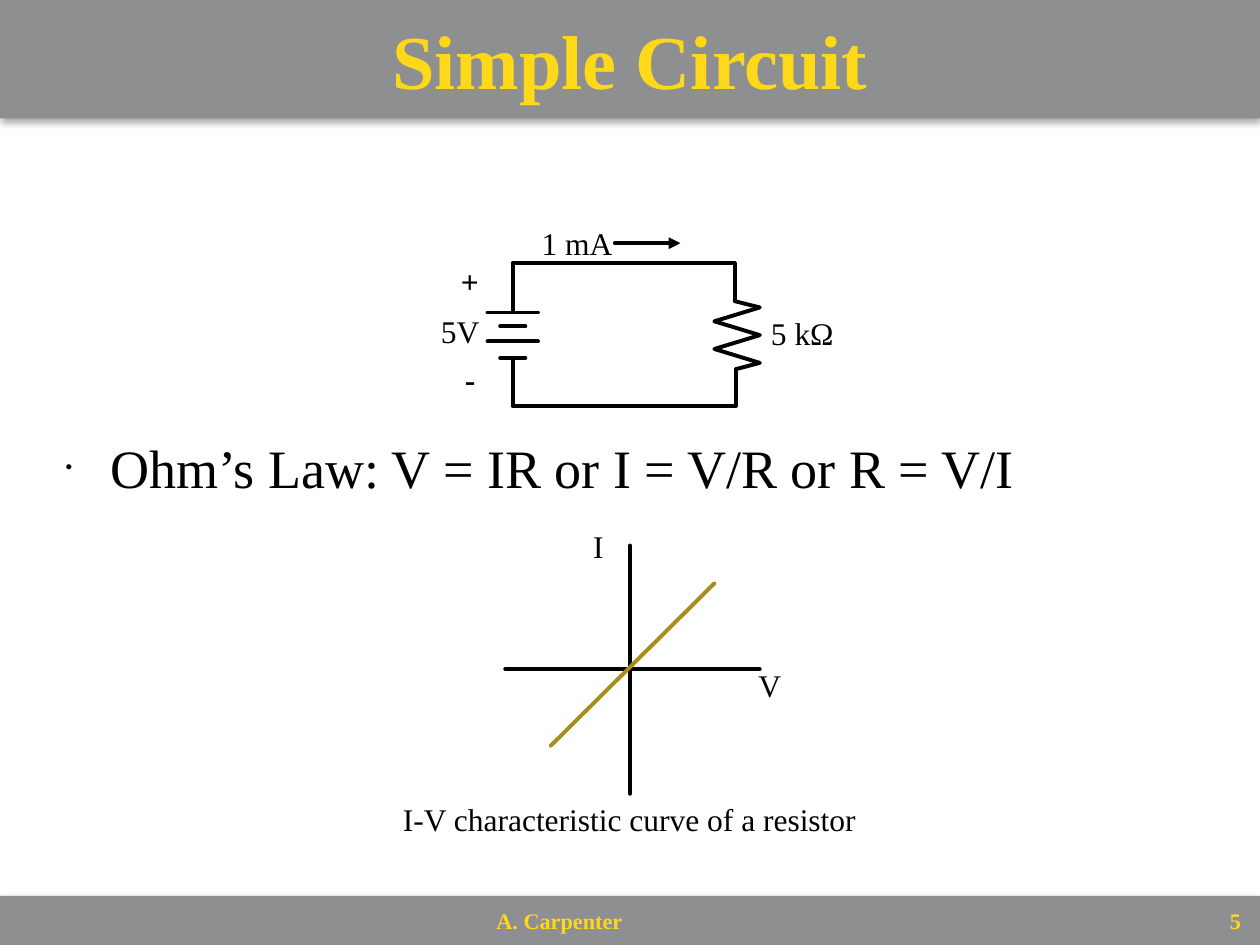
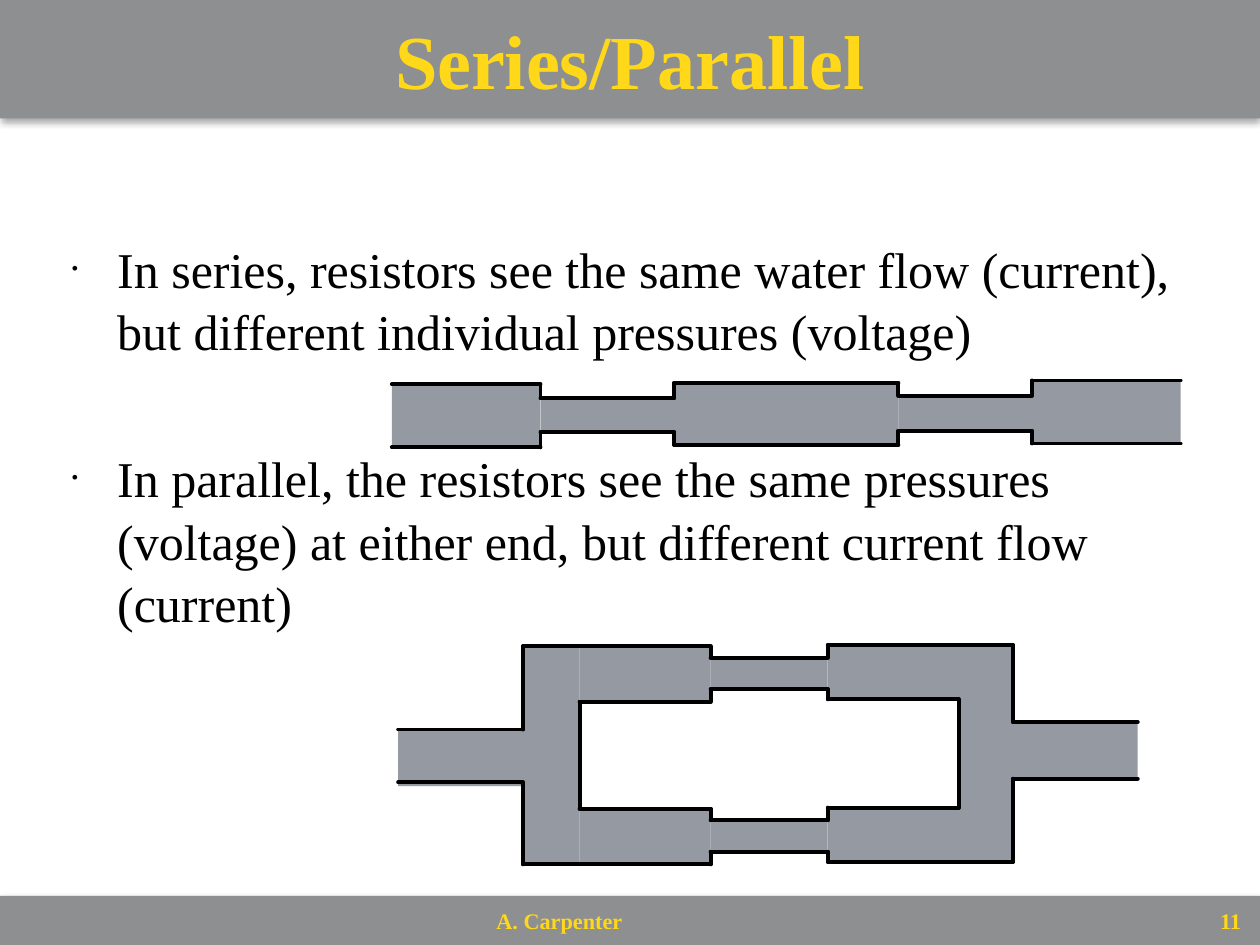
from dataclasses import dataclass
from itertools import pairwise

from lxml.etree import SubElement
from pptx import Presentation
from pptx.dml.color import RGBColor
from pptx.enum.shapes import MSO_CONNECTOR, MSO_SHAPE
from pptx.enum.text import MSO_ANCHOR, MSO_AUTO_SIZE, PP_ALIGN
from pptx.oxml.ns import qn
from pptx.util import Inches, Pt


@dataclass(frozen=True)
class Theme:
    font: str = "Times New Roman"
    band: str = "8E8F90"
    gold: str = "FFD819"
    ink: str = "000000"
    curve: str = "A58E1A"
    water: str = "959AA2"
    title_size: float = 43.6
    label_size: float = 18
    footer_size: float = 12.7
    line_width: float = 2.25
    inset: float = 0.07


THEME = Theme()


def place(shape, left, top, width, height):
    shape.left, shape.top = Inches(left), Inches(top)
    shape.width, shape.height = Inches(width), Inches(height)


def style_text(text_frame, size, color, bold=False):
    for paragraph in text_frame.paragraphs:
        for run in paragraph.runs:
            run.font.name = THEME.font
            run.font.size = Pt(size)
            run.font.bold = bold
            run.font.color.rgb = RGBColor.from_string(color)


def set_insets(text_frame, inset):
    text_frame.margin_left = text_frame.margin_right = Inches(inset)
    text_frame.margin_top = text_frame.margin_bottom = Inches(inset)


def fill_shape(shape, color):
    shape.fill.solid()
    shape.fill.fore_color.rgb = RGBColor.from_string(color)
    shape.line.fill.background()
    shape.shadow.inherit = False


def make_band(shape):
    """Grey fill with a soft shadow below."""
    fill_shape(shape, THEME.band)
    effects = shape.element.spPr.find(qn("a:effectLst"))
    shadow = SubElement(effects, qn("a:outerShdw"), blurRad=str(Pt(4)),
                        dist=str(Pt(2)), dir="5400000", rotWithShape="0")
    color = SubElement(shadow, qn("a:srgbClr"), val=THEME.ink)
    SubElement(color, qn("a:alpha"), val="35000")


class Panel:
    """A drawing area whose parts are placed from its left top corner."""

    def __init__(self, slide, left, top):
        self.shapes, self.left, self.top = slide.shapes, left, top

    def block(self, left, top, right, bottom, color=THEME.water):
        shape = self.shapes.add_shape(
            MSO_SHAPE.RECTANGLE, Inches(self.left + left), Inches(self.top + top),
            Inches(right - left), Inches(bottom - top))
        fill_shape(shape, color)
        return shape

    def wire(self, *points, color=THEME.ink, arrow=False):
        """Straight lines from point to point."""
        for (x1, y1), (x2, y2) in pairwise(points):
            connector = self.shapes.add_connector(
                MSO_CONNECTOR.STRAIGHT,
                Inches(self.left + x1), Inches(self.top + y1),
                Inches(self.left + x2), Inches(self.top + y2))
            connector.line.color.rgb = RGBColor.from_string(color)
            connector.line.width = Pt(THEME.line_width)
            properties = connector.element.spPr
            line = properties.find(qn("a:ln"))
            line.set("cap", "rnd")
            if arrow:
                SubElement(line, qn("a:tailEnd"), type="triangle")
            SubElement(properties, qn("a:effectLst"))

    def label(self, text, left, top, width, height=0.4, size=THEME.label_size,
              color=THEME.ink, bold=False):
        box = self.shapes.add_textbox(Inches(self.left + left), Inches(self.top + top),
                                      Inches(width), Inches(height))
        box.text_frame.text = text
        box.text_frame.word_wrap = False
        style_text(box.text_frame, size, color, bold)
        return box.text_frame

    def pipe_wall(self, edges, levels):
        """A stepped wall that runs at one level between each pair of edges."""
        self.wire(*[(x, level) for span, level in zip(pairwise(edges), levels)
                    for x in span])

    def water(self, edges, tops, bottoms):
        for (left, right), top, bottom in zip(pairwise(edges), tops, bottoms):
            self.block(left, top, right, bottom)


def add_title(slide, text):
    title = slide.shapes.title
    place(title, 0, 0, 10, 0.94)
    make_band(title)
    frame = title.text_frame
    frame.text = text
    frame.auto_size = MSO_AUTO_SIZE.NONE
    frame.vertical_anchor = MSO_ANCHOR.MIDDLE
    set_insets(frame, THEME.inset)
    frame.paragraphs[0].alignment = PP_ALIGN.CENTER
    style_text(frame, THEME.title_size, THEME.gold, bold=True)


def add_footer(slide, number):
    footer = Panel(slide, 0, 7.11)
    make_band(footer.block(0, 0, 10, 0.39))
    style = dict(size=THEME.footer_size, color=THEME.gold, bold=True)
    author = footer.label("A. Carpenter", 3.89, 0.04, 2.23, 0.31, **style)
    author.word_wrap = True
    set_insets(author, 0.05)
    page = footer.label(str(number), 9.57, 0.02, 0.35, 0.36, **style)
    set_insets(page, THEME.inset)
    page.paragraphs[0].alignment = PP_ALIGN.RIGHT
    for frame in (author, page):
        frame.vertical_anchor = MSO_ANCHOR.MIDDLE


def add_bullets(slide, box, texts, size, gap=7):
    body = slide.placeholders[1]
    place(body, *box)
    frame = body.text_frame
    frame.text = "\n".join(texts)
    frame.auto_size = MSO_AUTO_SIZE.NONE
    frame.vertical_anchor = MSO_ANCHOR.TOP
    set_insets(frame, THEME.inset)
    for index, paragraph in enumerate(frame.paragraphs):
        paragraph.space_before = Pt(gap if index else 7)
        paragraph.line_spacing = 1.04
        properties = paragraph._p.get_or_add_pPr()
        properties.set("marL", str(Inches(0.36)))
        properties.set("indent", str(-Inches(0.36)))
        SubElement(properties, qn("a:buSzPct"), val="35000")
        SubElement(properties, qn("a:buChar"), char="•")
    style_text(frame, size, THEME.ink)


def start_slide(presentation, title, number):
    slide = presentation.slides.add_slide(presentation.slide_layouts[1])
    add_title(slide, title)
    add_footer(slide, number)
    return slide


def draw_circuit(slide, left, top):
    panel = Panel(slide, left, top)
    battery_x, resistor_x, wire_top, wire_bottom = 0.67, 2.43, 0.39, 1.52

    for plate_y, half in ((0.78, 0.2), (0.89, 0.1), (1.01, 0.2), (1.14, 0.1)):
        panel.wire((battery_x - half, plate_y), (battery_x + half, plate_y))

    teeth = [(resistor_x + (-0.16 if i % 2 else 0.2), 0.74 + 0.11 * i)
             for i in range(5)]
    panel.wire((battery_x, 0.77), (battery_x, wire_top), (resistor_x, wire_top),
               (resistor_x, 0.69), *teeth, (resistor_x + 0.01, 1.23),
               (resistor_x + 0.01, wire_bottom), (battery_x, wire_bottom),
               (battery_x, 1.14))

    panel.wire((1.48, 0.23), (2, 0.23), arrow=True)
    panel.label("1 mA", 0.8, 0.03, 0.77)
    panel.label("5V", 0, 0.73, 0.51)
    panel.label("5 kΩ", 2.62, 0.74, 0.71)
    panel.label("+", 0.16, 0.33, 0.34, bold=True)
    panel.label("-", 0.19, 1.11, 0.29, bold=True)


def draw_resistor_curve(slide, left, top):
    panel = Panel(slide, left, top)
    panel.wire((0.91, 1.21), (2.93, 1.21))
    panel.wire((1.9, 2.2), (1.9, 0.23))
    panel.wire((1.27, 1.82), (2.57, 0.53), color=THEME.curve)
    panel.label("V", 2.82, 1.14, 0.38)
    panel.label("I", 1.51, 0.03, 0.29)
    panel.label("I-V characteristic curve of a resistor", 0, 2.2, 3.84)


def draw_series_pipe(slide, left, top):
    panel = Panel(slide, left, top)
    edges = (0, 1.18, 2.24, 4.02, 5.08, 6.26)
    tops = (0.05, 0.16, 0.04, 0.14, 0.02)
    bottoms = (0.55, 0.43, 0.53, 0.42, 0.52)
    panel.water(edges, tops, bottoms)
    panel.pipe_wall(edges, tops)
    panel.pipe_wall(edges, bottoms)


def draw_parallel_pipes(slide, left, top):
    panel = Panel(slide, left, top)
    outer = (0.99, 2.48, 3.41, 4.88)
    inner = (1.44, 2.48, 3.41, 4.45)
    tops, bottoms = (0.03, 0.12, 0.02), (0.47, 0.37, 0.45)
    lower_tops, lower_bottoms = ([level + 1.29 for level in levels]
                                 for levels in (tops, bottoms))

    panel.block(0, 0.7, 1.04, 1.14)
    panel.block(4.83, 0.62, 5.87, 1.07)
    panel.block(outer[0], 0.03, inner[0], 1.75)
    panel.block(inner[-1], 0.02, outer[-1], 1.73)
    panel.water(inner, tops, bottoms)
    panel.water(inner, lower_tops, lower_bottoms)

    panel.pipe_wall(outer, tops)
    panel.pipe_wall(inner, bottoms)
    panel.pipe_wall(inner, lower_tops)
    panel.pipe_wall(outer, lower_bottoms)
    panel.wire((inner[0], bottoms[0]), (inner[0], lower_tops[0]))
    panel.wire((inner[-1], bottoms[-1]), (inner[-1], lower_tops[-1]))
    for end, junction, side, upper, lower in ((0, outer[0], 0, 0.69, 1.11),
                                              (5.87, outer[-1], -1, 0.63, 1.08)):
        panel.wire((end, upper), (junction, upper), (junction, tops[side]))
        panel.wire((end, lower), (junction, lower), (junction, lower_bottoms[side]))


def add_simple_circuit(presentation):
    slide = start_slide(presentation, "Simple Circuit", 5)
    add_bullets(slide, (0.45, 3.36, 9, 0.76),
                ["Ohm’s Law: V = IR or I = V/R or R = V/I"], size=30.9)
    draw_circuit(slide, 3.4, 1.7)
    draw_resistor_curve(slide, 3.1, 4.1)


def add_series_parallel(presentation):
    slide = start_slide(presentation, "Series/Parallel", 11)
    add_bullets(slide, (0.5, 1.8, 9, 3.56), [
        "In series, resistors see the same water flow (current), "
        "but different individual pressures (voltage)",
        "In parallel, the resistors see the same pressures (voltage) "
        "at either end, but different current flow (current)",
    ], size=28.6, gap=48.5)
    draw_series_pipe(slide, 3.11, 3)
    draw_parallel_pipes(slide, 3.16, 5.1)


def main():
    presentation = Presentation()
    presentation.slide_width, presentation.slide_height = Inches(10), Inches(7.5)
    add_simple_circuit(presentation)
    add_series_parallel(presentation)
    presentation.save("out.pptx")


if __name__ == "__main__":
    main()
